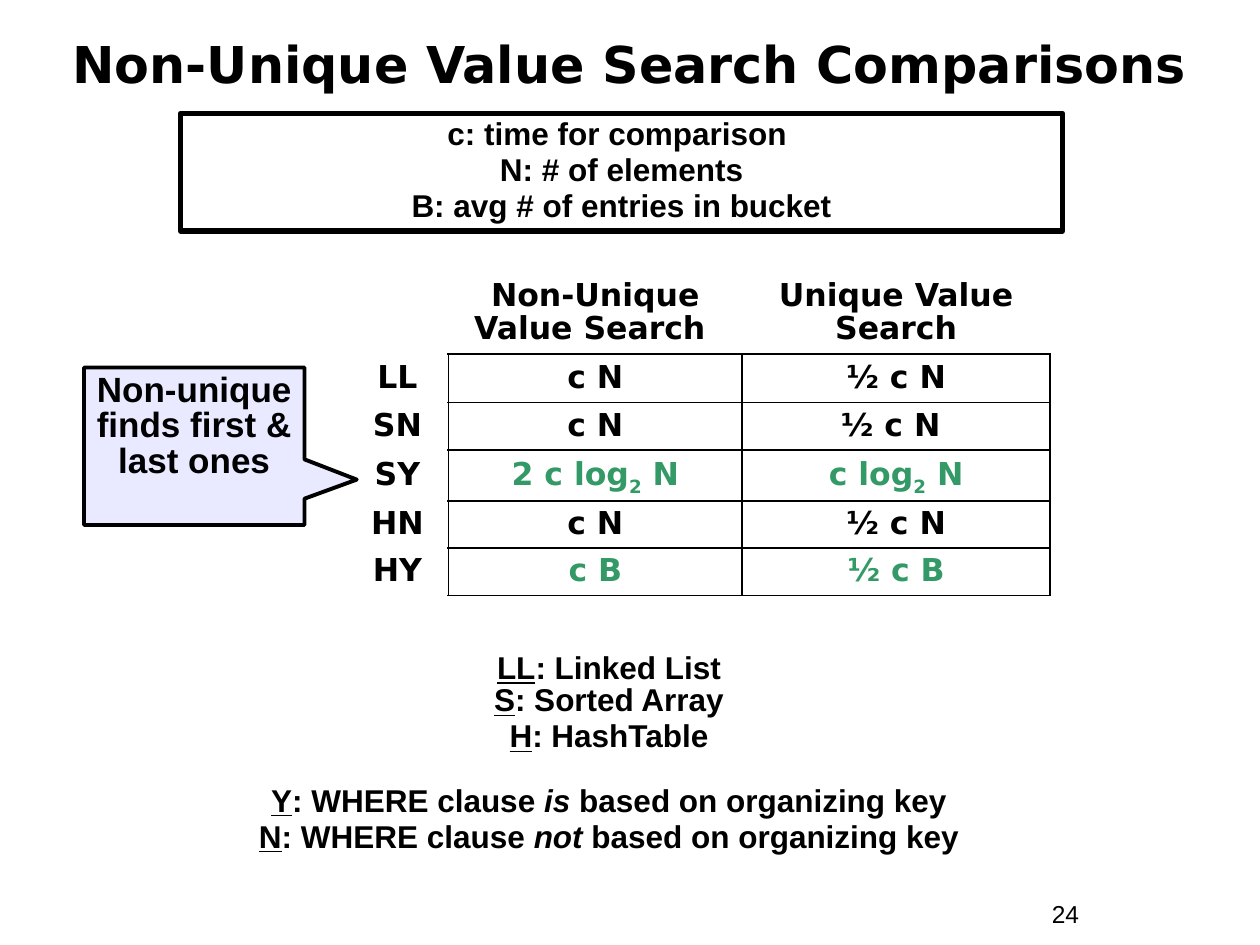
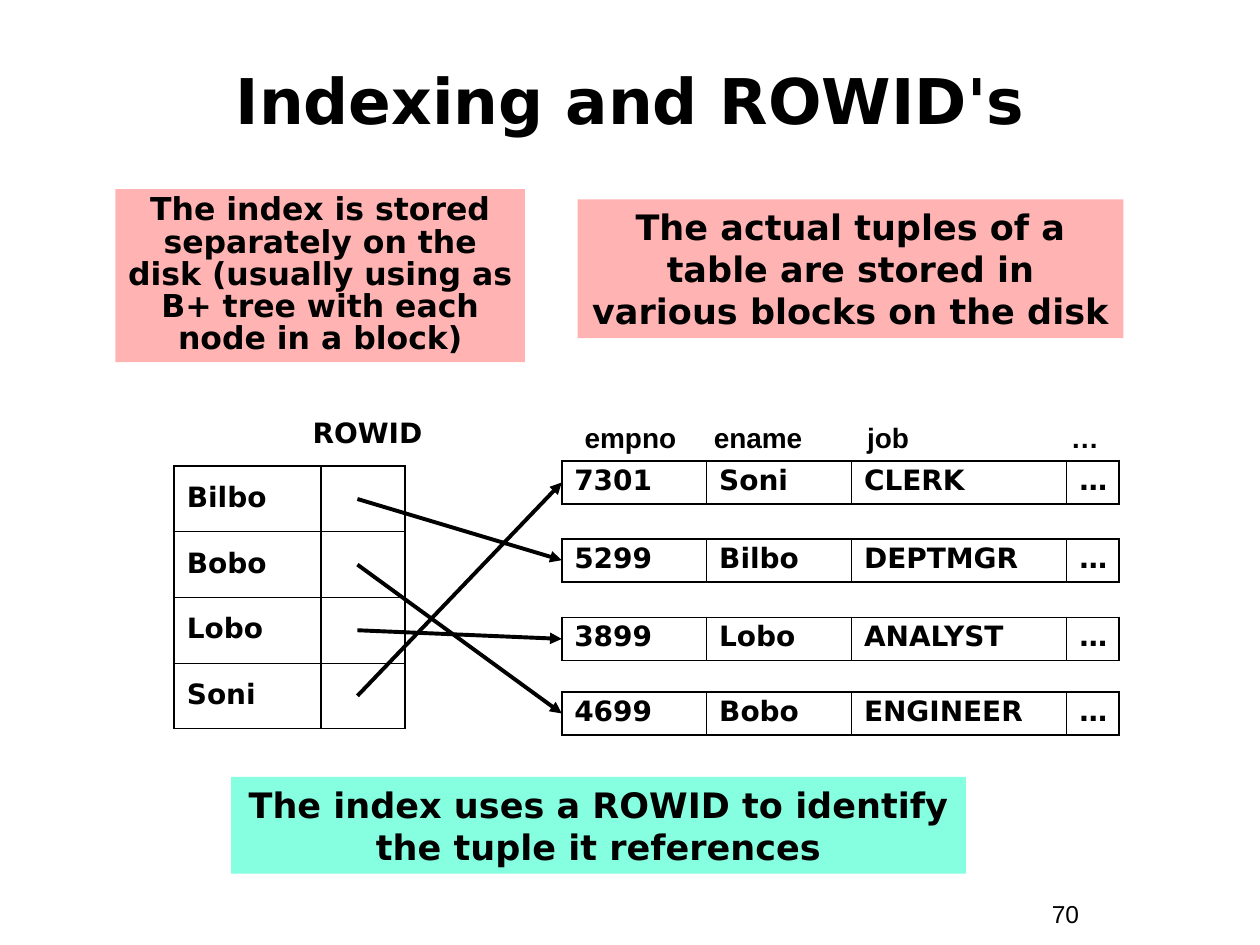
from lxml.etree import SubElement
from pptx import Presentation
from pptx.dml.color import RGBColor
from pptx.enum.shapes import MSO_CONNECTOR, MSO_SHAPE
from pptx.enum.text import MSO_ANCHOR, PP_ALIGN
from pptx.oxml import parse_xml
from pptx.oxml.ns import nsdecls, qn
from pptx.util import Emu, Inches, Pt

BLACK = RGBColor(0x00, 0x00, 0x00)
GREEN = RGBColor(0x33, 0x99, 0x66)
LAVENDER = RGBColor(0xE9, 0xE9, 0xFF)
PINK = RGBColor(0xFF, 0xB3, 0xB3)
MINT = RGBColor(0x85, 0xFF, 0xDF)

SLIDE_WIDTH, SLIDE_HEIGHT = Inches(10), Inches(7.5)
GRID_COLUMNS = 120  # square cells, so the slide is 90 rows high
DISPLAY, BODY = "DejaVu Sans", "Arial"
THICK, THIN = 1.08, 0.45
NO_STYLE = "{2D5ABB26-0587-4C30-8999-92F81FD0307C}"

UNDERLINED = {"underline": True}
ITALIC = {"italic": True}


def grid(*cells):
    """Turn grid counts into slide lengths."""
    return [Emu(round(count * SLIDE_WIDTH / GRID_COLUMNS)) for count in cells]


def write(frame, paragraphs, size, name=DISPLAY, bold=True, color=BLACK,
          align=PP_ALIGN.CENTER, spacing=None, gaps=(), tabs=()):
    """Fill a frame; a paragraph is a string or a list of (text, format) runs."""
    frame.word_wrap = True
    for index, content in enumerate(paragraphs):
        paragraph = frame.paragraphs[0] if index == 0 else frame.add_paragraph()
        if tabs:
            stops = SubElement(paragraph._p.get_or_add_pPr(), qn("a:tabLst"))
            for stop in grid(*tabs):
                SubElement(stops, qn("a:tab"), pos=str(stop), algn="l")
        paragraph.alignment = align
        if spacing:
            paragraph.line_spacing = spacing
        if index and gaps:
            paragraph.space_before = Pt(gaps[index - 1])
        for text, extra in [(content, {})] if isinstance(content, str) else content:
            run = paragraph.add_run()
            run.text = text
            values = {"name": name, "size": Pt(size), "bold": bold} | extra
            baseline = values.pop("baseline", None)
            for attribute, value in values.items():
                setattr(run.font, attribute, value)
            run.font.color.rgb = color
            if baseline:
                run._r.get_or_add_rPr().set("baseline", str(baseline))


def add_label(slide, box, paragraphs, size, anchor=MSO_ANCHOR.TOP, **text_format):
    frame = slide.shapes.add_textbox(*grid(*box)).text_frame
    frame.vertical_anchor = anchor
    write(frame, paragraphs, size, **text_format)


def add_panel(slide, box, paragraphs, size, kind=MSO_SHAPE.RECTANGLE,
              fill=None, outline=None, pointer=(), **text_format):
    panel = slide.shapes.add_shape(kind, *grid(*box))
    panel.shadow.inherit = False
    for index, value in enumerate(pointer):
        panel.adjustments[index] = value
    if fill is None:
        panel.fill.background()
    else:
        panel.fill.solid()
        panel.fill.fore_color.rgb = fill
    if outline is None:
        panel.line.fill.background()
    else:
        panel.line.color.rgb = BLACK
        panel.line.width = Pt(outline)
    panel.text_frame.vertical_anchor = MSO_ANCHOR.TOP
    write(panel.text_frame, paragraphs, size, **text_format)


def border(tag, width):
    if not width:
        return parse_xml(f'<a:{tag} {nsdecls("a")} w="0"><a:noFill/></a:{tag}>')
    return parse_xml(
        f'<a:{tag} {nsdecls("a")} w="{Pt(width)}"><a:solidFill>'
        f'<a:srgbClr val="{BLACK}"/></a:solidFill></a:{tag}>')


def add_grid_table(slide, left, top, widths, heights, ruled_from=(0, 0),
                   inner_row=THICK, inner_column=THICK):
    """Add a plain table, ruled from the cell ruled_from to its last cell."""
    box = grid(left, top, sum(widths), sum(heights))
    table = slide.shapes.add_table(len(heights), len(widths), *box).table
    table._tbl.tblPr.find(qn("a:tableStyleId")).text = NO_STYLE
    table.first_row = table.horz_banding = False
    for column, width in zip(table.columns, grid(*widths)):
        column.width = width
    for row, height in zip(table.rows, grid(*heights)):
        row.height = height
    first_row, first_column = ruled_from

    def rule(edge, first, last, across, first_across, inner):
        if edge < first or across < first_across:
            return 0
        return THICK if edge in (first, last) else inner

    for r in range(len(heights)):
        for c in range(len(widths)):
            cell = table.cell(r, c)
            cell.fill.background()
            sides = [(tag, rule(edge, first_column, len(widths), r, first_row,
                                inner_column))
                     for tag, edge in (("lnL", c), ("lnR", c + 1))]
            sides += [(tag, rule(edge, first_row, len(heights), c, first_column,
                                 inner_row))
                      for tag, edge in (("lnT", r), ("lnB", r + 1))]
            for position, side in enumerate(sides):
                cell._tc.get_or_add_tcPr().insert(position, border(*side))
    return table


def fill_cell(cell, paragraphs, size, anchor=MSO_ANCHOR.MIDDLE, **text_format):
    cell.vertical_anchor = anchor
    write(cell.text_frame, paragraphs, size, spacing=0.9, **text_format)


def add_arrow(slide, start, end):
    arrow = slide.shapes.add_connector(
        MSO_CONNECTOR.STRAIGHT, *grid(*start, *end))
    arrow.line.color.rgb = BLACK
    arrow.line.width = Pt(2.25)
    SubElement(arrow.line._get_or_add_ln(), qn("a:tailEnd"), type="triangle")
    SubElement(arrow._element.spPr, qn("a:effectLst"))


def add_base_slide(deck, title, title_size, title_box, number):
    slide = deck.slides.add_slide(deck.slide_layouts[6])
    add_label(slide, (99, 85, 11, 4), [number], 14, name=BODY, bold=False,
              align=PP_ALIGN.LEFT)
    add_label(slide, title_box, [title], title_size, anchor=MSO_ANCHOR.MIDDLE)
    return slide


def add_cost_table(slide, left, top):
    def log_cost(factor):
        return [(f"{factor}c log", {}), ("2", {"baseline": -25000}), (" N", {})]

    rows = [
        ([], ["Non-Unique", "Value Search "], ["Unique Value Search"]),
        (["LL"], ["c N"], ["½ c N"]),
        (["SN"], ["c N"], ["½ c N "]),
        (["SY"], [log_cost("2 ")], [log_cost("")]),
        (["HN"], ["c N"], ["½ c N"]),
        (["HY"], ["c B"], ["½ c B"]),
    ]
    fast_methods = (["SY"], ["HY"])
    table = add_grid_table(slide, left, top, (9.7, 28, 29.3),
                           (7.65, 4.65, 4.5, 4.85, 4.5, 4.5), ruled_from=(1, 1))
    for r, row in enumerate(rows):
        for c, paragraphs in enumerate(row):
            fast = c > 0 and row[0] in fast_methods
            fill_cell(table.cell(r, c), paragraphs, 18,
                      color=GREEN if fast else BLACK)


def add_abbreviations(slide, box):
    def clause(key, verb):
        return [(key, UNDERLINED), (": WHERE clause ", {}), (verb, ITALIC),
                (" based on organizing key", {})]

    structures = [[(key, UNDERLINED), (f": {meaning}", {})] for key, meaning in
                  (("LL", "Linked List"), ("S", "Sorted Array"), ("H", "HashTable"))]
    add_label(slide, box, structures + [clause("Y", "is"), clause("N", "not")], 18,
              name=BODY, spacing=0.85, gaps=(0, 2.2, 18.3, 2.2))


def build_search_comparison(deck):
    slide = add_base_slide(deck, "Non-Unique Value Search Comparisons", 29,
                           (4, 1.5, 112, 9), "24")
    add_cost_table(slide, 33, 26)
    symbols = ["c: time for comparison ", "N: # of elements",
               "B: avg # of entries in bucket"]
    add_panel(slide, (17.2, 10.8, 84, 11.2), symbols, 18, outline=3, name=BODY,
              spacing=0.85, gaps=(2.2, 2.2))
    add_abbreviations(slide, (20, 61.7, 76, 20.4))
    add_panel(slide, (8, 35, 21, 15), ["Non-unique finds first & last ones"], 20,
              kind=MSO_SHAPE.RECTANGULAR_CALLOUT, fill=LAVENDER, outline=2.25,
              pointer=(0.737, 0.212), name=BODY, spacing=0.85)


def add_index(slide, left, top, names):
    """Draw the index and return where each name's pointer starts."""
    name_width, pointer_width, height = 14, 8, 6.25
    table = add_grid_table(slide, left, top, (name_width, pointer_width),
                           [height] * len(names), inner_row=THIN)
    for r, name in enumerate(names):
        fill_cell(table.cell(r, 0), [name], 16, align=PP_ALIGN.LEFT)
    add_label(slide, (left + 10.4, top - 5.4, 16, 4.4), ["ROWID"], 16)
    pointer_left = left + name_width + 0.43 * pointer_width
    return {name: (pointer_left, top + (r + 0.5) * height)
            for r, name in enumerate(names)}


def add_tuples(slide, left, top, tuples):
    """Draw the stored tuples and return where each one is entered."""
    height = 4.1
    entries = {}
    for offset, values in tuples:
        table = add_grid_table(slide, left, top + offset, (13.8, 13.8, 20.5, 5),
                               [height], inner_column=THIN)
        for c, value in enumerate((*values, "…")):
            fill_cell(table.cell(0, c), [value], 16, anchor=MSO_ANCHOR.TOP,
                      align=PP_ALIGN.LEFT)
        entries[values[1]] = (left, top + offset + height / 2)
    add_label(slide, (left + 1, top - 4.4, 57, 4.4), ["empno\tename\tjob\t…"], 16,
              name=BODY, align=PP_ALIGN.LEFT, tabs=(12.3, 26.9, 46.3))
    return entries


def build_rowid_indexing(deck):
    slide = add_base_slide(deck, "Indexing and ROWID's", 36, (4, 4, 112, 11), "70")
    pointers = add_index(slide, 16.6, 44.4, ("Bilbo", "Bobo", "Lobo", "Soni"))
    entries = add_tuples(slide, 53.5, 43.9, (
        (0, ("7301", "Soni", "CLERK")),
        (7.4, ("5299", "Bilbo", "DEPTMGR")),
        (14.9, ("3899", "Lobo", "ANALYST")),
        (22, ("4699", "Bobo", "ENGINEER")),
    ))
    for name, start in pointers.items():
        add_arrow(slide, start, entries[name])
    add_panel(slide, (55, 19, 52, 13.2),
              ["The actual tuples of a table are stored in various blocks on the disk"],
              20, fill=PINK)
    add_panel(slide, (11, 18, 39, 16.5),
              ["The index is stored separately on the disk (usually using as "
               "B+ tree with each node in a block)"],
              18, fill=PINK, spacing=0.85)
    add_panel(slide, (22, 74, 70, 9.2),
              ["The index uses a ROWID to identify the tuple it references"],
              20, fill=MINT)


def main():
    deck = Presentation()
    deck.slide_width, deck.slide_height = SLIDE_WIDTH, SLIDE_HEIGHT
    build_search_comparison(deck)
    build_rowid_indexing(deck)
    deck.save("out.pptx")


if __name__ == "__main__":
    main()
